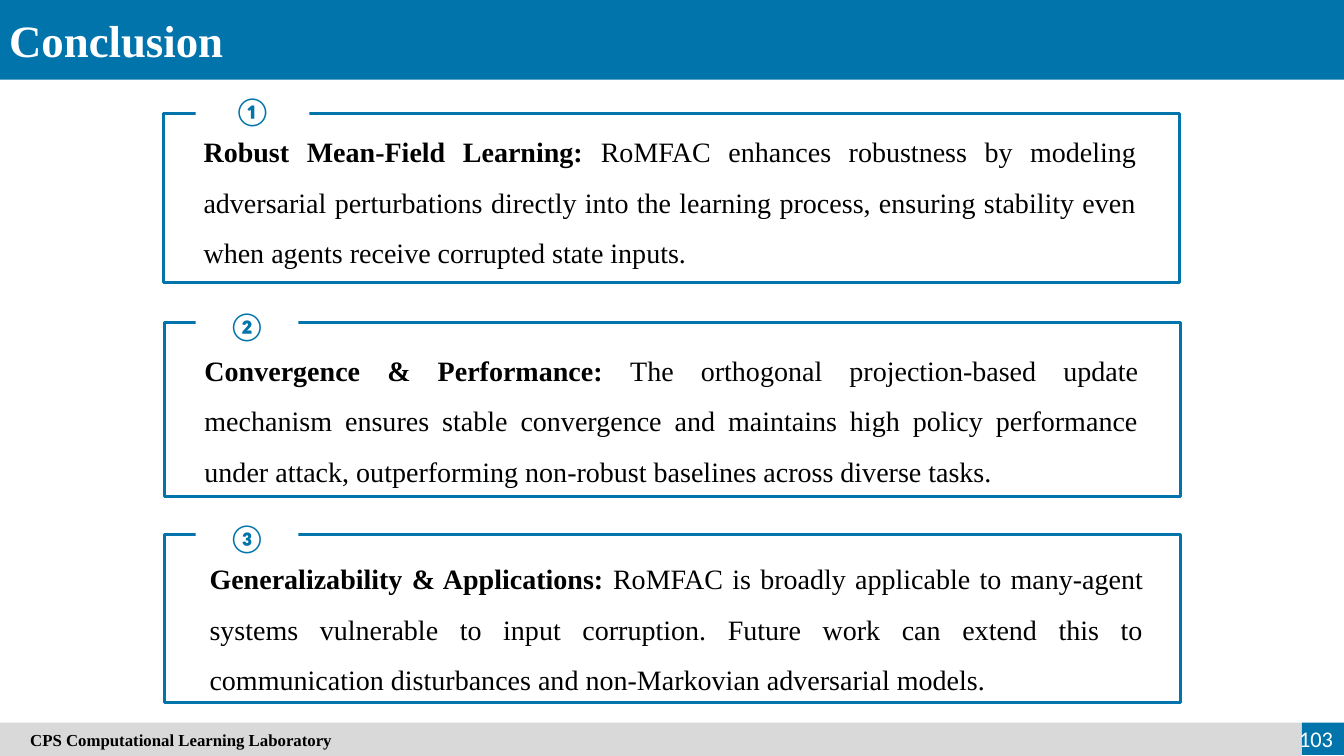
from dataclasses import dataclass

from pptx import Presentation
from pptx import util as u
from pptx.dml.color import RGBColor
from pptx.enum import shapes, text

EMU_PER_PX = 9144  # 100 px to the inch
BLUE = RGBColor(0x01, 0x74, 0xAB)
GREY = RGBColor(0xD9, 0xD9, 0xD9)
WHITE = RGBColor(0xFF, 0xFF, 0xFF)
BLACK = RGBColor(0x00, 0x00, 0x00)
SERIF, SANS = "Times New Roman", "Calibri"


@dataclass(frozen=True)
class Box:
    left: int
    top: int
    width: int
    height: int

    def emu(self) -> list[int]:
        return [side * EMU_PER_PX for side in (self.left, self.top, self.width, self.height)]


@dataclass(frozen=True)
class Conclusion:
    number: str
    heading: str
    body: str
    frame: Box
    badge: Box
    text_box: Box


CONCLUSIONS = [
    Conclusion(
        "①", "Robust Mean-Field Learning: ",
        "RoMFAC enhances robustness by modeling adversarial perturbations directly into the "
        "learning process, ensuring stability even when agents receive corrupted state inputs.",
        Box(162, 113, 1008, 167), Box(194, 82, 113, 55), Box(192, 112, 945, 156)),
    Conclusion(
        "②", "Convergence & Performance: ",
        "The orthogonal projection-based update mechanism ensures stable convergence and maintains "
        "high policy performance under attack, outperforming non-robust baselines across diverse tasks.",
        Box(163, 320, 1008, 173), Box(194, 295, 102, 55), Box(193, 329, 946, 156)),
    Conclusion(
        "③", "Generalizability & Applications: ",
        "RoMFAC is broadly applicable to many-agent systems vulnerable to input corruption. Future "
        "work can extend this to communication disturbances and non-Markovian adversarial models.",
        Box(163, 530, 1008, 167), Box(194, 506, 102, 55), Box(198, 536, 946, 156)),
]


def add_rectangle(slide, box: Box, fill: RGBColor | None = None, line: RGBColor | None = None):
    shape = slide.shapes.add_shape(shapes.MSO_SHAPE.RECTANGLE, *box.emu())
    shape.shadow.inherit = False
    if fill is None:
        shape.fill.background()
    else:
        shape.fill.solid()
        shape.fill.fore_color.rgb = fill
    if line is None:
        shape.line.fill.background()
    else:
        shape.line.color.rgb = line
        shape.line.width = u.Pt(2.25)
    return shape


def format_run(run, size: int, name: str, color: RGBColor, bold: bool) -> None:
    run.font.size = u.Pt(size)
    run.font.name = name
    run.font.color.rgb = color
    run.font.bold = bold


def write_line(shape, words: str, size: int, name: str, color: RGBColor,
               alignment: text.PP_ALIGN, bold: bool = True,
               anchor: text.MSO_ANCHOR = text.MSO_ANCHOR.MIDDLE) -> None:
    frame = shape.text_frame
    frame.text = words
    frame.word_wrap = True
    frame.auto_size = text.MSO_AUTO_SIZE.NONE
    frame.vertical_anchor = anchor
    paragraph = frame.paragraphs[0]
    paragraph.alignment = alignment
    format_run(paragraph.runs[0], size, name, color, bold)


def add_header(slide) -> None:
    bar = add_rectangle(slide, Box(0, 0, 1333, 79), BLUE)
    title = slide.shapes.title
    title._element.addprevious(bar._element)  # keeps the bar behind the title
    title.left, title.top, title.width, title.height = Box(-1, 8, 537, 64).emu()
    write_line(title, "Conclusion", 32, SERIF, WHITE, text.PP_ALIGN.LEFT,
               anchor=text.MSO_ANCHOR.TOP)


def add_footer(slide) -> None:
    add_rectangle(slide, Box(1291, 717, 42, 32), BLUE)
    strip = add_rectangle(slide, Box(0, 717, 1291, 33), GREY)
    write_line(strip, "CPS Computational Learning Laboratory", 12, SERIF, BLACK, text.PP_ALIGN.LEFT)
    strip.text_frame.margin_left = 30 * EMU_PER_PX
    page = slide.shapes.add_textbox(*Box(1269, 713, 63, 40).emu())
    write_line(page, "103", 16, SANS, WHITE, text.PP_ALIGN.RIGHT, bold=False)


def add_conclusion(slide, conclusion: Conclusion) -> None:
    add_rectangle(slide, conclusion.frame, line=BLUE)
    badge = add_rectangle(slide, conclusion.badge, WHITE)
    write_line(badge, conclusion.number, 20, SANS, BLUE, text.PP_ALIGN.CENTER)

    frame = slide.shapes.add_textbox(*conclusion.text_box.emu()).text_frame
    frame.word_wrap = True
    paragraph = frame.paragraphs[0]
    paragraph.alignment = text.PP_ALIGN.JUSTIFY
    paragraph.line_spacing = 1.5
    for words, bold in ((conclusion.heading, True), (conclusion.body, False)):
        run = paragraph.add_run()
        run.text = words
        format_run(run, 20, SERIF, BLACK, bold)


def main() -> None:
    presentation = Presentation()
    presentation.slide_width = 1333 * EMU_PER_PX
    presentation.slide_height = 750 * EMU_PER_PX
    title_only = presentation.slide_layouts[5]
    slide = presentation.slides.add_slide(title_only)
    add_header(slide)
    add_footer(slide)
    for conclusion in CONCLUSIONS:
        add_conclusion(slide, conclusion)
    presentation.save("out.pptx")


if __name__ == "__main__":
    main()
